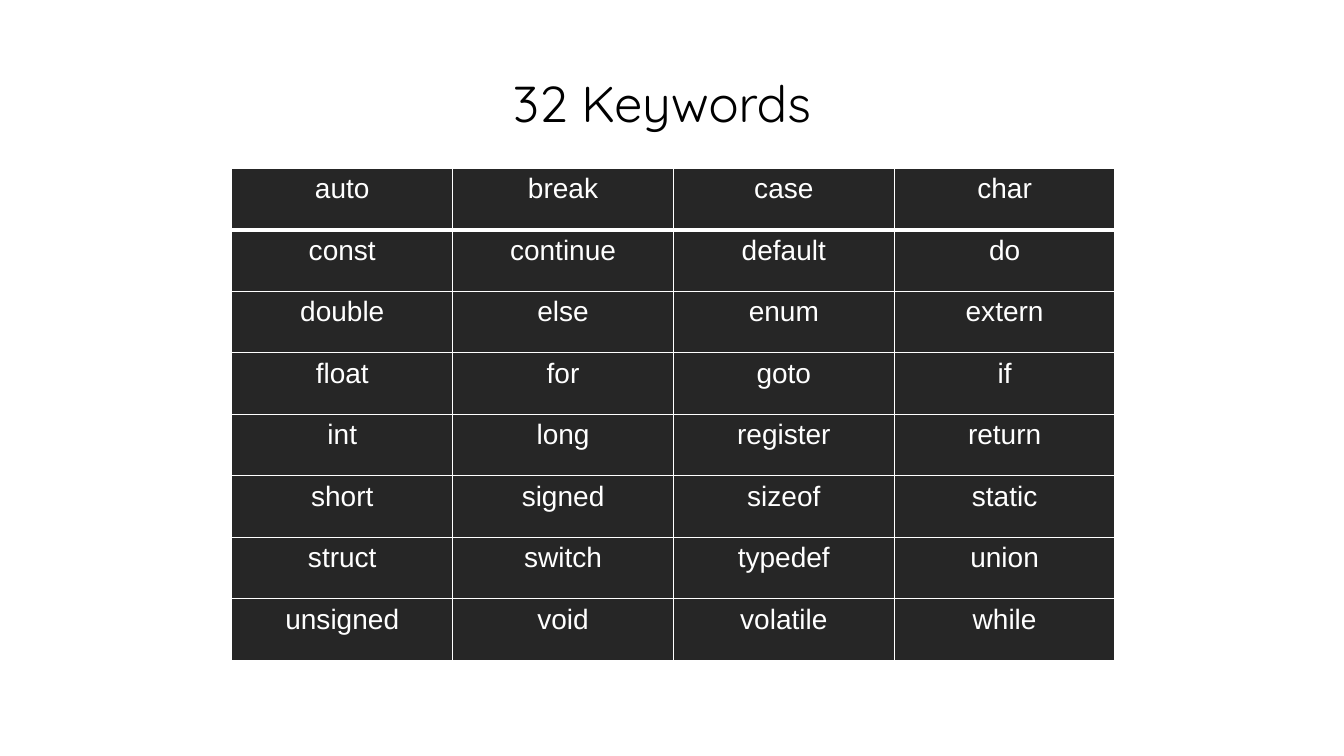
import dataclasses

import lxml.etree
import pptx
import pptx.dml.color
import pptx.enum.text
import pptx.oxml.ns
import pptx.table
import pptx.util

Inches = pptx.util.Inches
Pt = pptx.util.Pt
CENTER = pptx.enum.text.PP_ALIGN.CENTER
TOP = pptx.enum.text.MSO_ANCHOR.TOP

BLACK, WHITE, CHARCOAL = "000000", "FFFFFF", "262626"
THIN, THICK = 1, 3

KEYWORDS = """
auto break case char
const continue default do
double else enum extern
float for goto if
int long register return
short signed sizeof static
struct switch typedef union
unsigned void volatile while
"""


@dataclasses.dataclass(frozen=True)
class Grid:
    left: float
    top: float
    column_width: float
    row_height: float


@dataclasses.dataclass(frozen=True)
class TextStyle:
    font: str
    size: float
    color: str


KEYWORD_GRID = Grid(left=2.3, top=1.67, column_width=2.19, row_height=0.61)
TITLE_STYLE = TextStyle("Quicksand", 36, BLACK)
KEYWORD_STYLE = TextStyle("Arial", 20, WHITE)


def rgb(color: str) -> pptx.dml.color.RGBColor:
    return pptx.dml.color.RGBColor.from_string(color)


def write(frame, text: str, style: TextStyle) -> None:
    frame.text = text
    para = frame.paragraphs[0]
    para.alignment = CENTER
    para.font.name = style.font
    para.font.size = Pt(style.size)
    para.font.bold = False
    para.font.color.rgb = rgb(style.color)


def set_borders(cell: pptx.table._Cell, top: float, bottom: float) -> None:
    properties = cell._tc.get_or_add_tcPr()
    widths = {"a:lnL": THIN, "a:lnR": THIN, "a:lnT": top, "a:lnB": bottom}
    for position, (tag, width) in enumerate(widths.items()):
        line = lxml.etree.Element(pptx.oxml.ns.qn(tag), w=str(Pt(width)))
        fill = lxml.etree.SubElement(line, pptx.oxml.ns.qn("a:solidFill"))
        lxml.etree.SubElement(fill, pptx.oxml.ns.qn("a:srgbClr"), val=WHITE)
        properties.insert(position, line)


def add_keyword_table(page, rows: list[list[str]], grid: Grid) -> None:
    row_count, column_count = len(rows), len(rows[0])
    table = page.shapes.add_table(
        row_count, column_count, Inches(grid.left), Inches(grid.top),
        Inches(grid.column_width * column_count),
        Inches(grid.row_height * row_count),
    ).table
    for column in table.columns:
        column.width = Inches(grid.column_width)
    for row_index, words in enumerate(rows):
        table.rows[row_index].height = Inches(grid.row_height)
        for column_index, word in enumerate(words):
            cell = table.cell(row_index, column_index)
            cell.fill.solid()
            cell.fill.fore_color.rgb = rgb(CHARCOAL)
            write(cell.text_frame, word, KEYWORD_STYLE)
            # A heavy rule separates the first row from the rest
            set_borders(cell, top=THICK if row_index == 1 else THIN,
                        bottom=THICK if row_index == 0 else THIN)


# Deck and page
deck = pptx.Presentation()
deck.slide_width, deck.slide_height = Inches(13.33), Inches(7.5)
page = deck.slides.add_slide(deck.slide_layouts[5])

# Title, set slightly left of the middle by a wider right margin
title = page.shapes.title
title.left, title.top = Inches(0.58), Inches(0.67)
title.width, title.height = Inches(12.09), Inches(0.71)
write(title.text_frame, "32 Keywords", TITLE_STYLE)
title.text_frame.word_wrap = True
title.text_frame.auto_size = pptx.enum.text.MSO_AUTO_SIZE.NONE
title.text_frame.vertical_anchor = TOP
title.text_frame.margin_right = Inches(0.22)

# Keyword table
keyword_rows = [line.split() for line in KEYWORDS.strip().splitlines()]
add_keyword_table(page, keyword_rows, KEYWORD_GRID)

deck.save("out.pptx")
